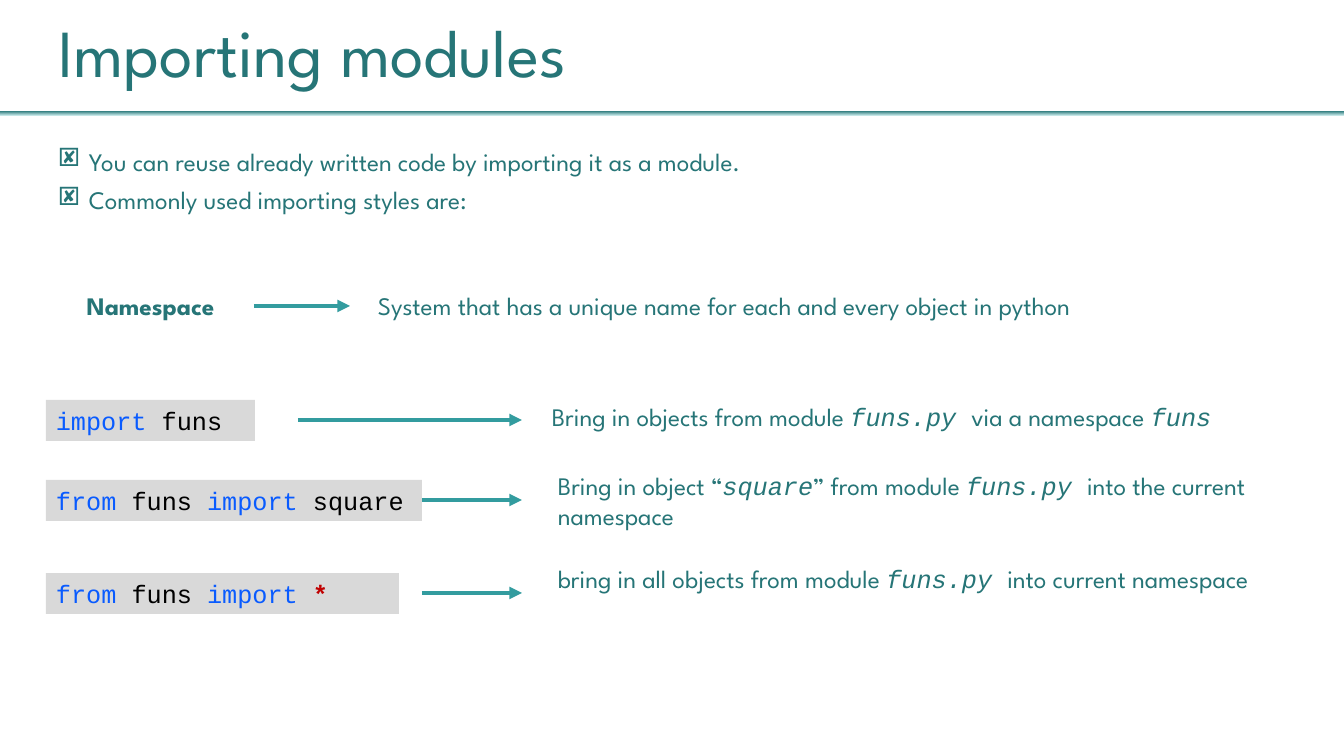
from lxml import etree
from pptx import Presentation
from pptx.dml.color import RGBColor
from pptx.enum.shapes import MSO_CONNECTOR, MSO_SHAPE
from pptx.enum.text import MSO_ANCHOR, MSO_AUTO_SIZE, PP_ALIGN
from pptx.oxml.ns import qn
from pptx.util import Pt

STRAIGHT, RECTANGLE = MSO_CONNECTOR.STRAIGHT, MSO_SHAPE.RECTANGLE
TOP, BOTTOM = MSO_ANCHOR.TOP, MSO_ANCHOR.BOTTOM
LEFT, CENTER = PP_ALIGN.LEFT, PP_ALIGN.CENTER
FIXED = MSO_AUTO_SIZE.NONE

# Content: each run is (text, style); places are in pixels
TITLE = "Importing modules"
BULLETS = [
    "You can reuse already written code by importing it as a module.",
    "Commonly used importing styles are:",
]
TERM = [("Namespace", "strong")]
DEFINITION = [("System that has a unique name for each and every object in python", "body")]
IMPORT_STYLES = [
    {
        "top": 400, "code_width": 209, "arrow_start": 298,
        "code": [("import ", "keyword"), ("funs", "name")],
        "note_box": (542, 396, 778, 41),
        "note": [("Bring in objects from module ", "body"), ("funs.py ", "module"),
                 ("via a namespace ", "body"), ("funs", "module")],
    },
    {
        "top": 480, "code_width": 376, "arrow_start": 422,
        "code": [("from ", "keyword"), ("funs ", "name"), ("import", "keyword"),
                 (" square", "name")],
        "note_box": (548, 465, 772, 71),
        "note": [("Bring in object “", "body"), ("square", "module"),
                 ("” from module ", "body"), ("funs.py ", "module"),
                 ("into the current namespace", "body")],
    },
    {
        "top": 573, "code_width": 353, "arrow_start": 422,
        "code": [("from ", "keyword"), ("funs ", "name"), ("import ", "keyword"),
                 ("*", "star")],
        "note_box": (548, 558, 778, 71),
        "note": [("bring in all objects from module ", "body"), ("funs.py ", "module"),
                 ("into current namespace", "body")],
    },
]

# Theme
SANS, MONO = "League Spartan", "Courier New"
THEME = {
    "teal": "267577", "pale": "D2F0F0", "arrow": "339C9F", "code_fill": "D9D9D9",
    "arrow_width": Pt(3), "space_after": Pt(6),
    "styles": {
        "title": {"name": SANS, "size": Pt(48), "color": "267577"},
        "body": {"name": SANS, "size": Pt(18), "color": "267577"},
        "strong": {"name": SANS, "size": Pt(18), "color": "267577", "bold": True},
        "module": {"name": MONO, "size": Pt(18), "color": "267577", "italic": True},
        "keyword": {"name": MONO, "size": Pt(18), "color": "095BFF"},
        "name": {"name": MONO, "size": Pt(18), "color": "000000"},
        "star": {"name": MONO, "size": Pt(18), "color": "C00000", "bold": True},
    },
}
EMU_PER_PIXEL = 914400 / 100.8
CODE_LEFT, LINE_HEIGHT, ARROW_END = 46, 41, 522


def px(value):
    return round(value * EMU_PER_PIXEL)


def rgb(name):
    return RGBColor.from_string(THEME[name])


def write(para, runs):
    for text, style in runs:
        span = para.add_run()
        span.text = text
        for key, value in THEME["styles"][style].items():
            if key == "color":
                span.font.color.rgb = RGBColor.from_string(value)
            else:
                setattr(span.font, key, value)


def add_text(page, place, paragraphs, align=LEFT, space_after=None, fill=None):
    box = page.shapes.add_textbox(*map(px, place))
    frame = box.text_frame
    for key, value in {"word_wrap": True, "auto_size": FIXED, "vertical_anchor": TOP}.items():
        setattr(frame, key, value)
    if fill:
        box.fill.solid()
        box.fill.fore_color.rgb = rgb(fill)
    for index, runs in enumerate(paragraphs):
        para = frame.add_paragraph() if index else frame.paragraphs[0]
        para.alignment = align
        para.space_after = space_after
        write(para, runs)
    return box


def add_bullet(para):
    properties = para._p.get_or_add_pPr()
    properties.set("marL", str(px(31)))
    properties.set("indent", str(-px(31)))
    etree.SubElement(properties, qn("a:buFont"), typeface="Wingdings 2")
    etree.SubElement(properties, qn("a:buChar"), char="❑")


def add_arrow(page, start, end, y):
    arrow = page.shapes.add_connector(STRAIGHT, px(start), px(y), px(end), px(y))
    arrow.line.color.rgb = rgb("arrow")
    arrow.line.width = THEME["arrow_width"]
    etree.SubElement(arrow.line._get_or_add_ln(), qn("a:tailEnd"), type="triangle")
    etree.SubElement(arrow._element.spPr, qn("a:effectLst"))


deck = Presentation()
deck.slide_width, deck.slide_height = px(1344), px(756)
page = deck.slides.add_slide(deck.slide_layouts[5])

# Rule under the title
rule = page.shapes.add_shape(RECTANGLE, *map(px, (-1, 111, 1346, 5)))
rule.shadow.inherit = False
rule.line.fill.background()
rule.fill.gradient()
rule.fill.gradient_angle = 270
for stop, (position, color) in zip(rule.fill.gradient_stops, [(0, "teal"), (1, "pale")]):
    stop.position = position
    stop.color.rgb = rgb(color)

# Title
title = page.shapes.title
for key, value in zip(("left", "top", "width", "height"), (48, 13, 1227, 84)):
    setattr(title, key, px(value))
for key, value in {"word_wrap": True, "auto_size": FIXED, "vertical_anchor": BOTTOM}.items():
    setattr(title.text_frame, key, value)
heading = title.text_frame.paragraphs[0]
heading.alignment = LEFT
heading.line_spacing = 0.9
write(heading, [(TITLE, "title")])

# Bullets
intro = add_text(page, (48, 141, 919, 80), [[(text, "body")] for text in BULLETS],
                 space_after=THEME["space_after"])
for para in intro.text_frame.paragraphs:
    add_bullet(para)

# Namespace definition
add_text(page, (64, 285, 173, LINE_HEIGHT), [TERM], align=CENTER)
add_arrow(page, 254, 350, 306)
add_text(page, (368, 285, 911, LINE_HEIGHT), [DEFINITION])

# Import styles: code, arrow, explanation
for row in IMPORT_STYLES:
    add_text(page, (CODE_LEFT, row["top"], row["code_width"], LINE_HEIGHT), [row["code"]],
             space_after=THEME["space_after"], fill="code_fill")
    add_arrow(page, row["arrow_start"], ARROW_END, row["top"] + LINE_HEIGHT // 2)
    add_text(page, row["note_box"], [row["note"]])

deck.save("out.pptx")
